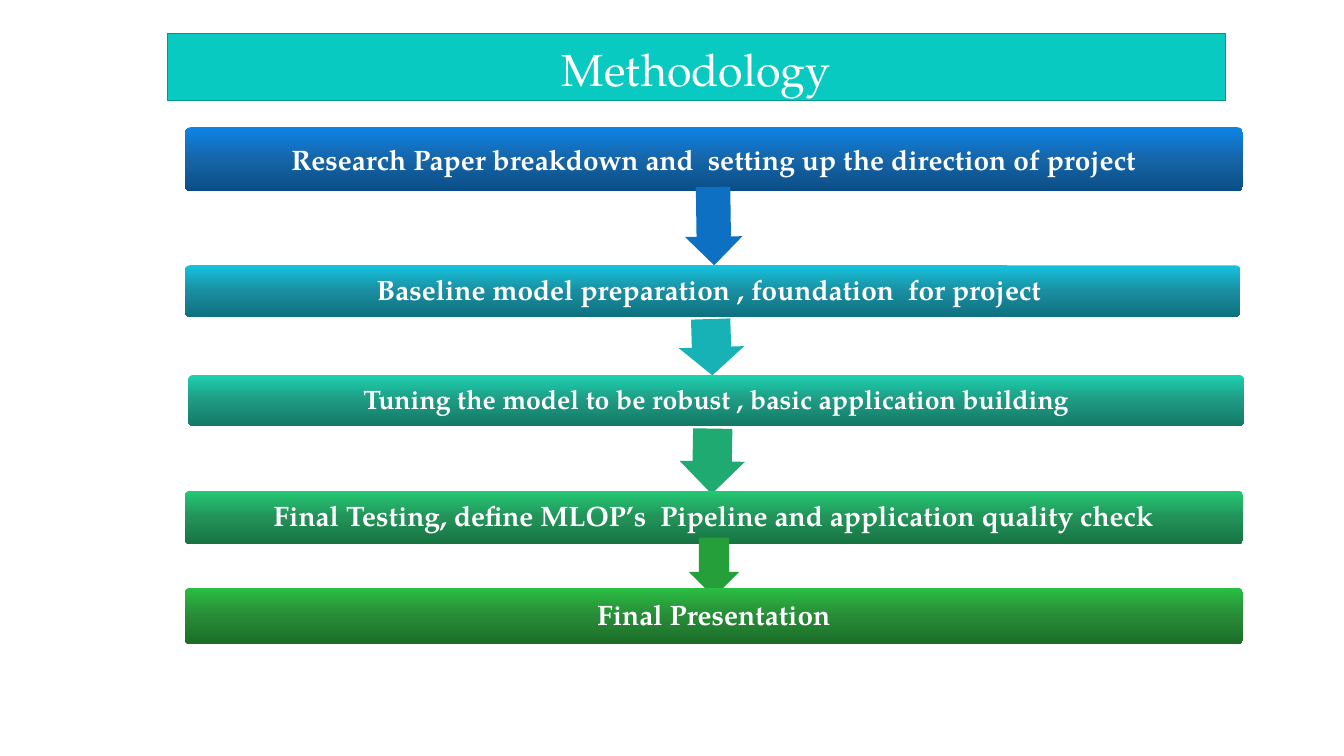
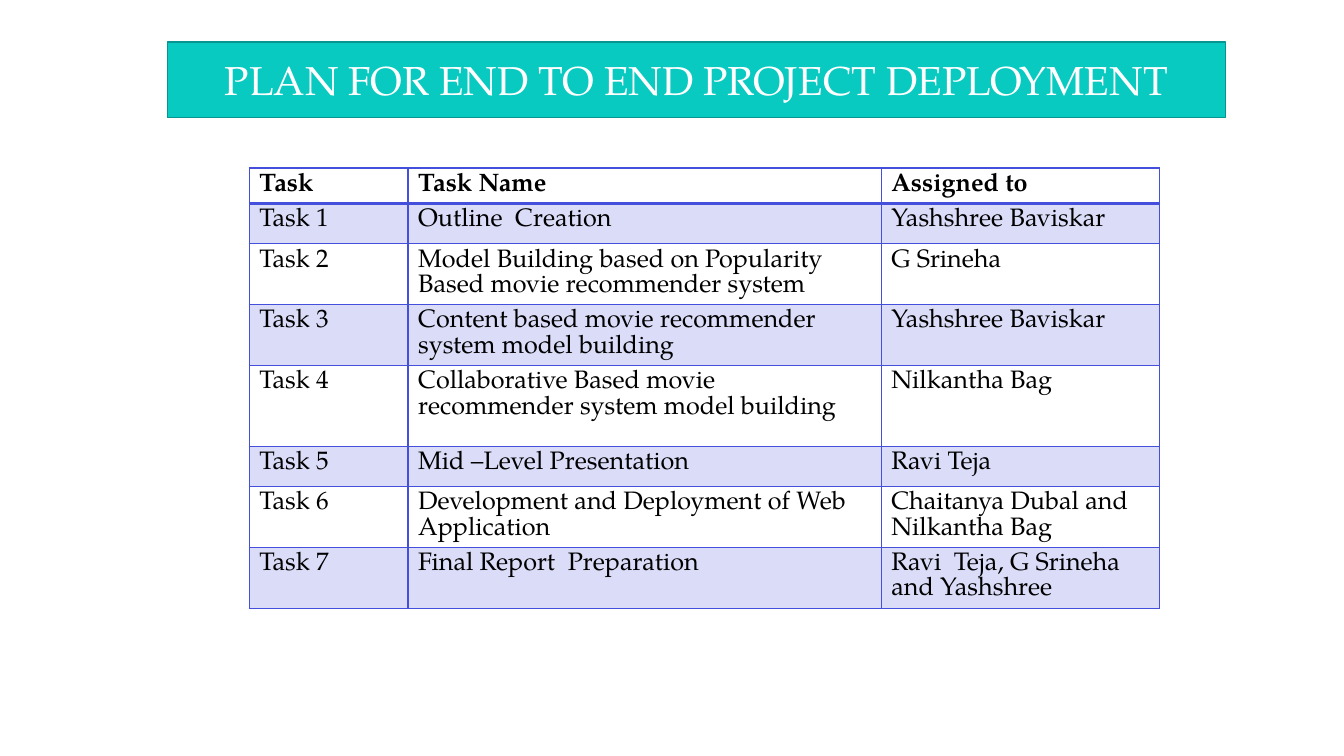
from copy import deepcopy
from typing import NamedTuple

from lxml.etree import SubElement
from pptx import Presentation
from pptx.dml.color import RGBColor
from pptx.enum.shapes import MSO_SHAPE as Shape
from pptx.enum.text import MSO_ANCHOR as Anchor, PP_ALIGN as Align
from pptx.oxml.ns import qn
from pptx.util import Pt

# Shared look
FONT = "TeX Gyre Pagella"
WHITE = RGBColor(0xFF, 0xFF, 0xFF)
BLACK = RGBColor(0x00, 0x00, 0x00)
TITLE_FILL = RGBColor(0x08, 0xCA, 0xC1)
TITLE_LINE = RGBColor(0x06, 0x95, 0x8F)
GRID = RGBColor(0x44, 0x4F, 0xDC)
BAND = RGBColor(0xDA, 0xDC, 0xF8)

TITLE_LEFT, TITLE_WIDTH = 119.5, 756
BAR_LEFT, BAR_WIDTH = 132, 756
BAR_INSET = 5.75
TABLE_LEFT, TABLE_TOP = 178, 120
COLUMN_WIDTHS = (113.5, 338, 198.5)
ROW_HEIGHTS = (25, 29, 43.5, 43.5, 57.5, 29, 43.5, 43.5)

BAR_FONT = {"name": FONT, "bold": True}
CELL_FONT = {"name": FONT, "size": Pt(18)}


class Arrow(NamedTuple):
    center_x: float
    center_y: float
    width: float
    height: float
    tilt: float
    color: RGBColor


class Step(NamedTuple):
    text: str
    top: float
    height: float
    colors: tuple[RGBColor, RGBColor, RGBColor]
    arrow: Arrow | None = None
    left: float = BAR_LEFT
    width: float = BAR_WIDTH
    size: float = 20
    spacing: float = 0.9


def shades(*codes: str) -> tuple[RGBColor, ...]:
    return tuple(RGBColor.from_string(code) for code in codes)


STEPS = (
    Step("Research Paper breakdown and  setting up the direction of project",
         90.75, 46, shades("0D84E8", "1665A8", "0A4D86"),
         Arrow(509.75, 161.5, 41, 56, -0.8, RGBColor(0x0E, 0x70, 0xC2)), spacing=1.0),
    Step("Baseline model preparation , foundation  for project ",
         189.5, 36.75, shades("15C3DD", "1A8EA0", "0E7180"),
         Arrow(508.25, 248, 46.75, 40.25, -1.8, RGBColor(0x16, 0xB2, 0xB6)), width=754),
    Step("Tuning the model to be robust , basic application building",
         267.75, 36.75, shades("1CD2B0", "1F9982", "127A66"),
         Arrow(508.75, 329.5, 46.75, 46.75, 0.9, RGBColor(0x1E, 0xAA, 0x71)),
         left=134.5, width=754, size=19),
    Step("Final Testing, define MLOP’s  Pipeline and application quality check",
         350.5, 38.25, shades("23C873", "239259", "167443"),
         Arrow(510, 405.25, 36, 42.5, 0, RGBColor(0x25, 0x9F, 0x39))),
    Step("Final Presentation", 419.75, 40.5, shades("2ABE42", "288B38", "1A6E27")),
)

TASKS = (
    ("Task", "Task Name", "Assigned to"),
    ("Task 1", "Outline  Creation", "Yashshree Baviskar"),
    ("Task 2", "Model Building based on Popularity Based movie recommender system",
     "G Srineha"),
    ("Task 3", "Content based movie recommender system model building",
     "Yashshree Baviskar"),
    ("Task 4", "Collaborative Based movie recommender system model building",
     "Nilkantha Bag"),
    ("Task 5", "Mid –Level Presentation", "Ravi Teja"),
    ("Task 6", "Development and Deployment of Web Application",
     "Chaitanya Dubal and Nilkantha Bag"),
    ("Task 7", "Final Report  Preparation", "Ravi  Teja, G Srineha and Yashshree"),
)


# Helpers
def write(tf, text: str, color: RGBColor, fmt: dict, align=Align.LEFT, spacing=1.0) -> None:
    p = tf.paragraphs[0]
    p.alignment, p.line_spacing = align, spacing
    r = p.add_run()
    r.text = text
    r.font.color.rgb = color
    for name, value in fmt.items():
        setattr(r.font, name, value)


def add_box(s, kind: Shape, left: float, top: float, width: float, height: float):
    sp = s.shapes.add_shape(kind, Pt(left), Pt(top), Pt(width), Pt(height))
    sp.shadow.inherit = False
    sp.line.fill.background()
    sp.text_frame.word_wrap = True
    return sp


def add_title(s, text: str, top: float, height: float, size: float,
              anchor: Anchor, spacing: float) -> None:
    sp = add_box(s, Shape.RECTANGLE, TITLE_LEFT, top, TITLE_WIDTH, height)
    sp.fill.solid()
    sp.fill.fore_color.rgb = TITLE_FILL
    sp.line.color.rgb = TITLE_LINE
    sp.line.width = Pt(1)
    sp.text_frame.vertical_anchor = anchor
    write(sp.text_frame, text, WHITE, {"name": FONT, "size": Pt(size)}, Align.CENTER, spacing)


def fill_gradient(sp, colors: tuple[RGBColor, ...]) -> None:
    sp.fill.gradient()
    sp.fill.gradient_angle = 270
    stop_list = sp._element.spPr.find(".//" + qn("a:gsLst"))
    stop_list.append(deepcopy(stop_list[0]))
    for i, (stop, color) in enumerate(zip(sp.fill.gradient_stops, colors)):
        stop.position = i / (len(colors) - 1)
        stop.color.rgb = color


def add_step(s, step: Step) -> None:
    sp = add_box(s, Shape.ROUNDED_RECTANGLE, step.left, step.top, step.width, step.height)
    sp.adjustments[0] = 0.1
    fill_gradient(sp, step.colors)
    tf = sp.text_frame
    tf.vertical_anchor = Anchor.MIDDLE
    for side in ("left", "top", "right", "bottom"):
        setattr(tf, f"margin_{side}", Pt(BAR_INSET))
    write(tf, step.text, WHITE, BAR_FONT | {"size": Pt(step.size)}, Align.CENTER, step.spacing)


def add_arrow(s, arrow: Arrow) -> None:
    sp = add_box(s, Shape.DOWN_ARROW, arrow.center_x - arrow.width / 2,
                 arrow.center_y - arrow.height / 2, arrow.width, arrow.height)
    sp.adjustments[0], sp.adjustments[1] = 0.6, 0.5
    sp.rotation = arrow.tilt
    sp.fill.solid()
    sp.fill.fore_color.rgb = arrow.color


def set_borders(cell, widths: dict[str, float]) -> None:
    props = cell._tc.get_or_add_tcPr()
    for side, width in widths.items():
        line = SubElement(props, qn(f"a:ln{side}"), w=str(Pt(width)))
        fill = SubElement(line, qn("a:solidFill"))
        SubElement(fill, qn("a:srgbClr"), val=str(GRID))


def add_task_table(s) -> None:
    frame = s.shapes.add_table(len(TASKS), len(COLUMN_WIDTHS), Pt(TABLE_LEFT), Pt(TABLE_TOP),
                               Pt(sum(COLUMN_WIDTHS)), Pt(sum(ROW_HEIGHTS)))
    table = frame.table
    table.first_row = table.horz_banding = False
    for column, width in zip(table.columns, COLUMN_WIDTHS):
        column.width = Pt(width)
    for i, (row, height, texts) in enumerate(zip(table.rows, ROW_HEIGHTS, TASKS)):
        row.height = Pt(height)
        for cell, text in zip(row.cells, texts):
            set_borders(cell, {"L": 1, "R": 1, "T": 2 if i == 1 else 1, "B": 2 if i == 0 else 1})
            if i % 2:
                cell.fill.solid()
                cell.fill.fore_color.rgb = BAND
            else:
                cell.fill.background()
            write(cell.text_frame, text, BLACK, CELL_FONT | {"bold": i == 0}, spacing=Pt(18))


def main() -> None:
    prs = Presentation()
    prs.slide_width, prs.slide_height = Pt(960), Pt(540)
    blank = prs.slide_layouts[6]

    # Methodology: each arrow lies over its own bar and under the next one
    s = prs.slides.add_slide(blank)
    add_title(s, "Methodology", 24, 48, 32, Anchor.BOTTOM, 0.9)
    for step in STEPS:
        add_step(s, step)
        if step.arrow:
            add_arrow(s, step.arrow)

    # Deployment plan
    s = prs.slides.add_slide(blank)
    add_title(s, "PLAN FOR END TO END PROJECT DEPLOYMENT", 30, 54, 28.8, Anchor.MIDDLE, 1.0)
    add_task_table(s)

    prs.save("out.pptx")


if __name__ == "__main__":
    main()
